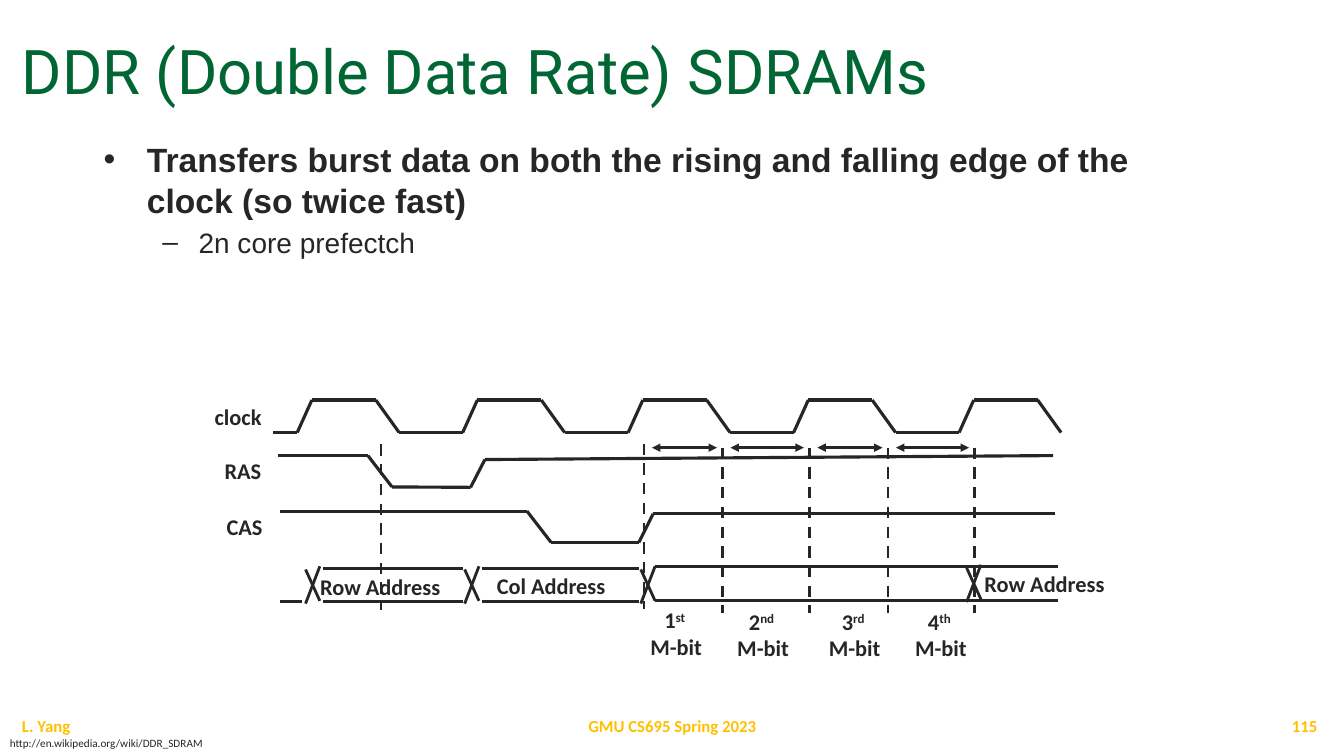
"""Build the slide on DDR SDRAM timing."""
from itertools import pairwise
from pptx import Presentation
from pptx.dml.color import RGBColor
from pptx.enum.dml import MSO_LINE as Dash
from pptx.enum.shapes import MSO_CONNECTOR as Conn
from pptx.enum.text import MSO_ANCHOR as Anchor, MSO_AUTO_SIZE as Fit, PP_ALIGN as Align
from pptx.oxml.xmlchemy import OxmlElement as Node
from pptx.util import Cm, Pt

INK = RGBColor(0x26, 0x26, 0x26)
GREEN = RGBColor(0x00, 0x66, 0x33)
GOLD = RGBColor(0xFF, 0xC0, 0x00)
LABEL = {"name": "Calibri", "size": Pt(16), "bold": True}
SMALL = {"name": "Calibri", "size": Pt(8), "bold": False}
FOOT = {"name": "Calibri", "size": Pt(12), "bold": True}
HEAD = {"name": "Roboto", "size": Pt(44), "bold": False}
MAIN = {"name": "Arial", "size": Pt(24), "bold": True}
SUB = {"name": "Arial", "size": Pt(20), "bold": False}

deck = Presentation()
deck.slide_width, deck.slide_height = Cm(33.87), Cm(19.05)
slide = deck.slides.add_slide(deck.slide_layouts[1])
shapes = slide.shapes


def trace(points, width=2, dash=None, heads=False):
    for start, end in pairwise(points):
        line = shapes.add_connector(Conn.STRAIGHT, *map(Cm, start + end))
        line.line.color.rgb = INK
        line.line.width = Pt(width)
        if dash:
            line.line.dash_style = dash
        for tag in ("a:headEnd", "a:tailEnd") if heads else ():
            tip = Node(tag)
            tip.set("type", "triangle")
            line.line._get_or_add_ln().append(tip)
        line._element.spPr.append(Node("a:effectLst"))


def write(box, place, lines, style, color=INK, align=Align.LEFT, anchor=Anchor.TOP, wrap=True):
    box.left, box.top, box.width, box.height = map(Cm, place)
    frame = box.text_frame
    frame.text = "\n".join(lines)
    for key, value in {"word_wrap": wrap, "auto_size": Fit.NONE, "vertical_anchor": anchor}.items():
        setattr(frame, key, value)
    for para in frame.paragraphs:
        para.alignment = align
        para.space_before = Pt(0)
        for run in para.runs:
            for key, value in style.items():
                setattr(run.font, key, value)
            run.font.color.rgb = color
    return frame


title = write(shapes.title, (0.3, 0.43, 33.15, 2.41), ["DDR (Double Data Rate) SDRAMs"],
              HEAD, GREEN, anchor=Anchor.BOTTOM)
title.paragraphs[0].line_spacing = 0.9

body = write(slide.placeholders[1], (2.36, 3.38, 28.47, 3.58), [
    "Transfers burst data on both the rising and falling edge of the clock (so twice fast)",
    "2n core prefectch"], MAIN)
first, second = body.paragraphs
second.level = 1
second.space_before = Pt(4)
for key, value in SUB.items():
    setattr(second.runs[0].font, key, value)
for para, left, hang in ((first, 1.09, 1.09), (second, 2.39, 0.91)):
    props = para._p.get_or_add_pPr()
    props.set("marL", str(Cm(left)))
    props.set("indent", str(-Cm(hang)))

HIGH, LOW, STEP = 10.08, 10.9, 4.17
clock = [(6.88, LOW)]
for turn in range(5):
    x = 7.49 + turn * STEP
    clock += [(x, LOW), (x + 0.37, HIGH), (x + 1.98, HIGH), (x + 2.57, LOW)]
ras = [(7.01, 11.48), (9.27, 11.48), (9.88, 12.27), (11.86, 12.28), (12.22, 11.58), (26.54, 11.48)]
cas = [(7.06, 12.88), (13.28, 12.88), (13.89, 13.67), (16.1, 13.67), (16.46, 12.95), (26.59, 12.95)]
for wave in (clock, ras, cas):
    trace(wave, 2.25)

trace([(7.06, 15.16), (7.62, 15.16)])
for left, right, top, base in ((8.13, 11.66, 14.33, 15.16), (12.14, 16.1, 14.33, 15.16),
                               (16.51, 26.67, 14.27, 15.14)):
    for y in (top, base):
        trace([(left, y), (right, y)])
for x, top in ((7.7, 14.27), (11.71, 14.27), (16.15, 14.27), (24.36, 14.23)):
    trace([(x, top + 0.08), (x + 0.36, top + 0.87)])
    trace([(x, top + 0.94), (x + 0.36, top)])

marks = [16.23, 18.21, 20.4, 22.38, 24.56]
for x, top in zip([9.6] + marks, [11.2, 11.18] + [11.28] * 4):
    trace([(x, top), (x, top + 4.17)], dash=Dash.DASH)
for left, right in pairwise(marks):
    trace([(left + 0.2, 11.28), (right - 0.14, 11.28)], heads=True)

for text, x, y, width in (
        ("clock", 5.16, 10.03, 1.7), ("RAS", 5.41, 11.4, 1.45), ("CAS", 5.46, 12.8, 1.42),
        ("Row Address", 7.82, 14.33, 3.58), ("Col Address", 12.27, 14.3, 3.28),
        ("Row Address", 24.56, 14.25, 3.71)):
    write(shapes.add_textbox(0, 0, 0, 0), (x, y, width, 0.94), [text], LABEL, wrap=False)

for count, (order, x, y, width) in enumerate((
        ("st ", 15.95, 15.16, 2.18), ("nd ", 18.14, 15.19, 2.18),
        ("rd ", 20.12, 15.19, 2.84), ("th ", 22.3, 15.19, 2.82)), 1):
    frame = write(shapes.add_textbox(0, 0, 0, 0), (x, y, width, 1.63), [str(count), "M-bit"],
                  LABEL, align=Align.CENTER)
    run = frame.paragraphs[0].add_run()
    run.text = order
    for key, value in LABEL.items():
        setattr(run.font, key, value)
    run.font.color.rgb = INK
    run._r.get_or_add_rPr().set("baseline", "30000")

write(shapes.add_textbox(0, 0, 0, 0), (0, 18.44, 5.44, 0.61),
      ["http://en.wikipedia.org/wiki/DDR_SDRAM"], SMALL, wrap=False)
for text, x, width, align in (("L. Yang", 0.3, 7.62, Align.LEFT),
                              ("GMU CS695 Spring 2023", 11.23, 11.43, Align.CENTER),
                              ("115", 25.83, 7.62, Align.RIGHT)):
    write(shapes.add_textbox(0, 0, 0, 0), (x, 17.78, width, 1.02), [text], FOOT, GOLD,
          align, Anchor.MIDDLE)

deck.save("out.pptx")
